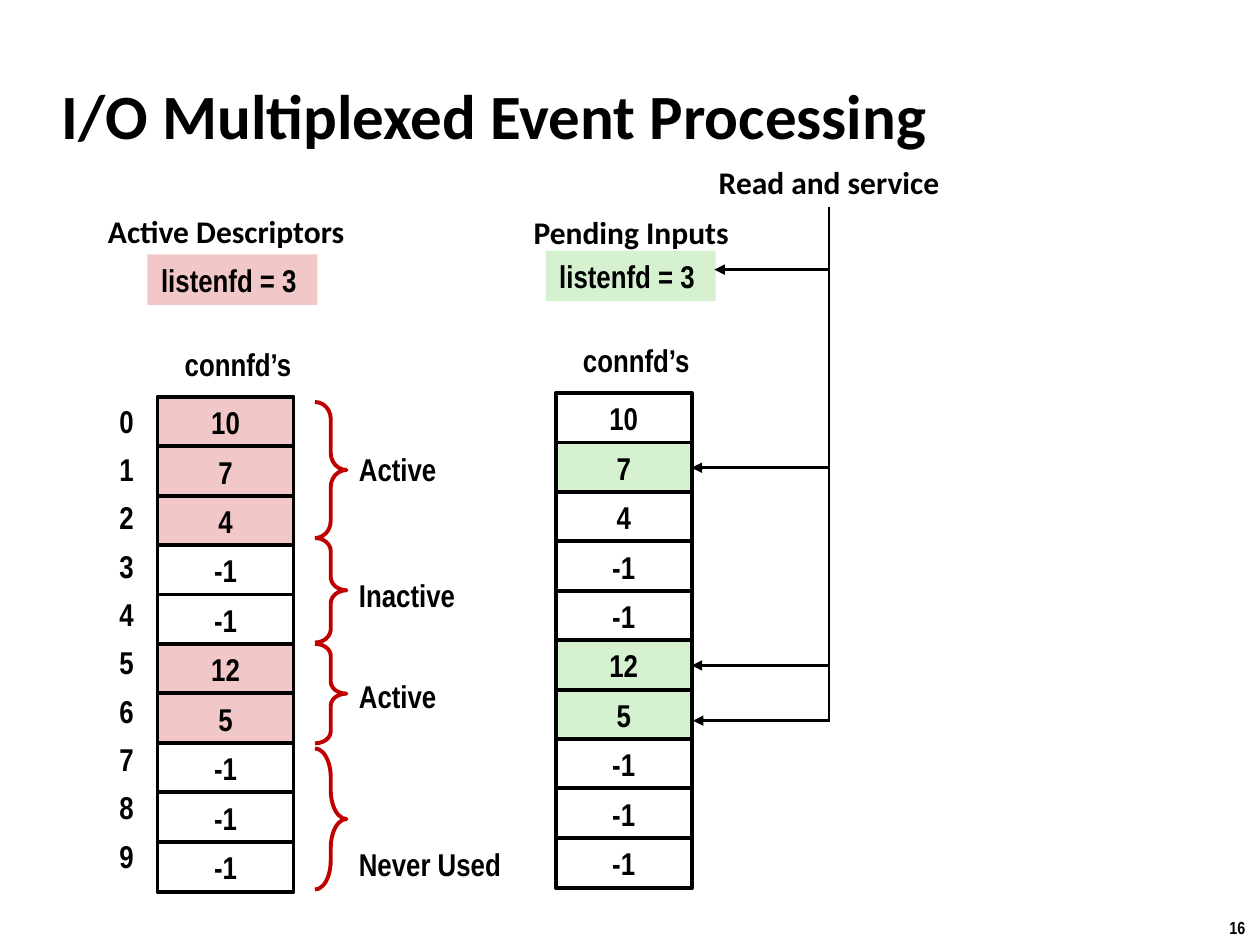
from lxml import etree
from pptx import Presentation
from pptx import util as u
from pptx.dml.color import RGBColor
from pptx.enum import shapes, text
from pptx.oxml import ns

BLACK = RGBColor(0x00, 0x00, 0x00)
WHITE = RGBColor(0xFF, 0xFF, 0xFF)
PINK = RGBColor(0xF1, 0xC7, 0xC7)
GREEN = RGBColor(0xD5, 0xF1, 0xCF)
RED = RGBColor(0xC0, 0x00, 0x00)
NARROW, SANS = "Arial Narrow", "Calibri"
LEFT, CENTER, RIGHT = text.PP_ALIGN.LEFT, text.PP_ALIGN.CENTER, text.PP_ALIGN.RIGHT

ROW = 0.4
ROW_STEP = 0.39 + 0.02 / 9 * 1
INDEX_STEP = 3.45 / 9
COLUMN_WIDTH = 1.08
BUS_X = 6.58

deck = Presentation()
deck.slide_width, deck.slide_height = u.Inches(10), u.Inches(7.5)
page = deck.slides.add_slide(deck.slide_layouts[5])


def add_box(words, left, top, width, height=ROW, font=NARROW, size=18,
            align=CENTER, fill=None, outlined=False, wrap=False):
    place = [u.Inches(n) for n in (left, top, width, height)]
    if fill is None:
        box = page.shapes.add_textbox(*place)
    else:
        box = page.shapes.add_shape(shapes.MSO_SHAPE.RECTANGLE, *place)
        box.shadow.inherit = False
        box.fill.solid()
        box.fill.fore_color.rgb = fill
        if outlined:
            box.line.color.rgb = BLACK
            box.line.width = u.Pt(2.25)
        else:
            box.line.fill.background()
    frame = box.text_frame
    frame.word_wrap = wrap
    frame.vertical_anchor = text.MSO_ANCHOR.MIDDLE
    para = frame.paragraphs[0]
    para.text = words
    para.alignment = align
    para.font.name, para.font.size, para.font.bold = font, u.Pt(size), True
    para.font.color.rgb = BLACK
    return box


def add_line(x1, y1, x2, y2, arrow=False):
    line = page.shapes.add_connector(
        shapes.MSO_CONNECTOR.STRAIGHT, *[u.Inches(n) for n in (x1, y1, x2, y2)])
    line.line.color.rgb = BLACK
    line.line.width = u.Pt(1.5)
    if arrow:
        outline = line.line._get_or_add_ln()
        etree.SubElement(outline, ns.qn("a:tailEnd"), type="triangle")
    etree.SubElement(line._element.spPr, ns.qn("a:effectLst"))
    return line


title = page.shapes.title
title.left, title.top, title.width, title.height = [
    u.Inches(n) for n in (0.39, 0.49, 8.3, 0.83)]
title.text_frame.text = "I/O Multiplexed Event Processing"
title.text_frame.vertical_anchor = text.MSO_ANCHOR.MIDDLE
para = title.text_frame.paragraphs[0]
para.alignment = LEFT
para.font.name, para.font.size, para.font.bold = SANS, u.Pt(36), True
para.font.color.rgb = BLACK

values = [10, 7, 4, -1, -1, 12, 5, -1, -1, -1]
arrays = [(1.25, 3.15, PINK, {0, 1, 2, 5, 6}), (4.41, 3.12, GREEN, {1, 5, 6})]
for left, top, tint, marked in arrays:
    add_box("listenfd = 3 ", left - 0.08, top - 1.13, 1.35, fill=tint)
    add_box("connfd’s", left + 0.11, top - 0.46, 1.06)
    cells = [
        add_box(str(value), left, top + row * ROW_STEP, COLUMN_WIDTH,
                fill=tint if row in marked else WHITE, outlined=True, wrap=True)
        for row, value in enumerate(values)]

for row in range(len(values)):
    add_box(str(row), 0.08, 3.14 + row * INDEX_STEP, COLUMN_WIDTH,
            align=RIGHT, wrap=True)

groups = [
    ("Active", 3.19, 1.08, 0.54, 3.52, 0.82),
    ("Inactive", 4.27, 0.83, 0.42, 4.52, 0.98),
    ("Active", 5.11, 0.79, 0.38, 5.32, 0.82),
    ("Never Used", 5.94, 1.12, 0.92, 6.66, 1.34),
]
for words, top, height, curve, label_top, label_width in groups:
    brace = page.shapes.add_shape(
        shapes.MSO_SHAPE.RIGHT_BRACE,
        *[u.Inches(n) for n in (2.5, top, 0.25, height)])
    brace.shadow.inherit = False
    brace.adjustments[0] = curve
    brace.fill.background()
    brace.line.color.rgb = RED
    brace.line.width = u.Pt(2.25)
    add_box(words, 2.75, label_top, label_width, align=LEFT)

add_box("Active Descriptors", 0.75, 1.63, 2.09, font=SANS)
add_box("Pending Inputs", 3.92, 1.64, 2.18, font=SANS, wrap=True)
add_box("Read and service", 5.49, 1.24, 2.18, font=SANS, wrap=True)

add_line(BUS_X, 5.73, BUS_X, 1.64)
add_line(BUS_X, 2.14, 5.67, 2.14, arrow=True)
add_line(BUS_X, 5.72, 5.5, 5.72, arrow=True)
for row in (1, 5):
    middle = 3.12 + row * ROW_STEP + ROW / 2
    arrow = add_line(BUS_X, middle, 5.49, middle, arrow=True)
    arrow.end_connect(cells[row], 3)

add_box("16", 9.66, 7.23, 0.34, 0.27, size=10, align=LEFT)

deck.save("out.pptx")
